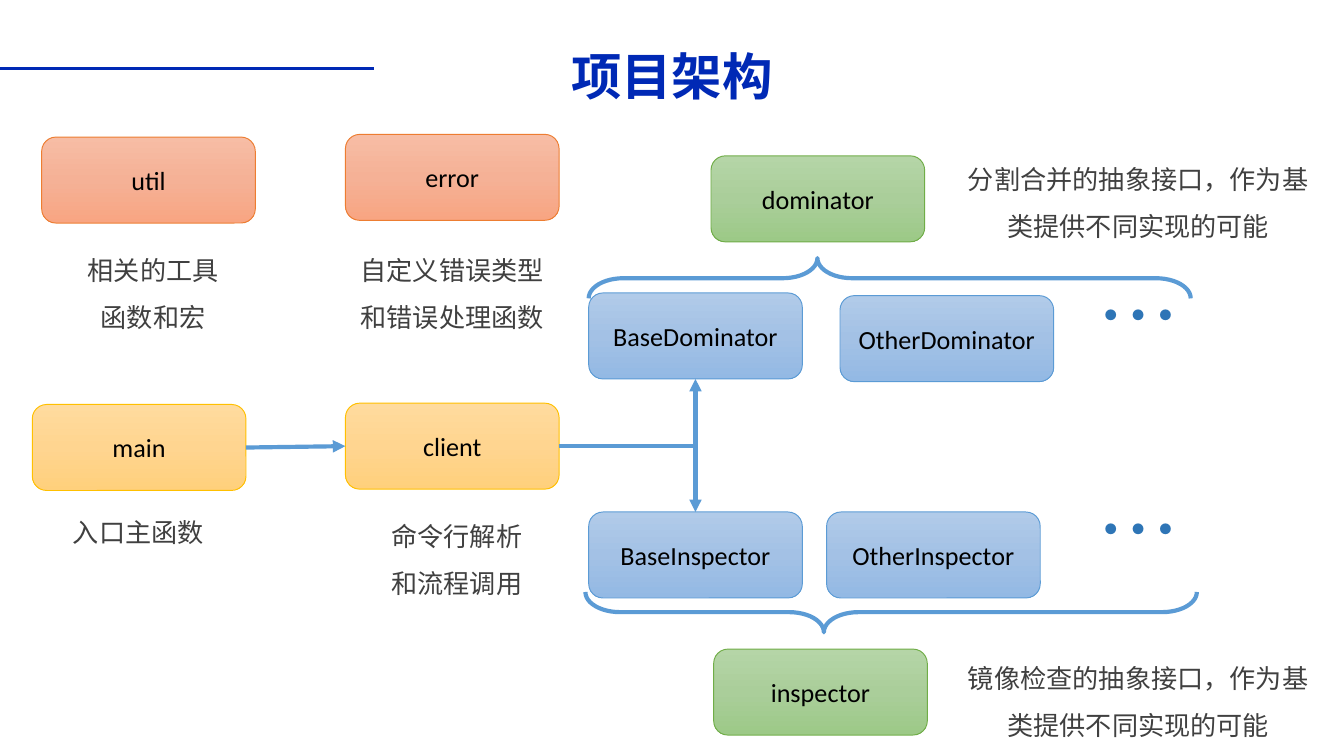
import copy
from dataclasses import dataclass

import pptx
import pptx.dml.color
import pptx.enum.dml
import pptx.enum.shapes
import pptx.enum.text
import pptx.oxml
import pptx.oxml.ns
import pptx.util

PX = 9144
BOX_WIDTH, BOX_HEIGHT = 159, 64
CJK_FONT = "Noto Sans CJK SC"
NAVY, BLUE, DOTS, GREY, BLACK = "0029B5", "5B9BD5", "2E75B6", "404040", "000000"
TOP, LEFT, BOTTOM, RIGHT = range(4)
SHAPE = pptx.enum.shapes.MSO_SHAPE
CONNECTOR = pptx.enum.shapes.MSO_CONNECTOR
ANCHOR = pptx.enum.text.MSO_ANCHOR
AUTO_SIZE = pptx.enum.text.MSO_AUTO_SIZE


@dataclass(frozen=True)
class Palette:
    stops: tuple[str, str, str]
    outline: str


@dataclass(frozen=True)
class Module:
    name: str
    left: int
    top: int
    palette: Palette


@dataclass(frozen=True)
class Label:
    text: str
    left: int
    top: int
    width: int
    height: int = 77
    size: int = 14
    color: str = GREY
    spacing: float = 1.5


@dataclass(frozen=True)
class Brace:
    left: int
    top: int
    height: int
    rotation: int
    tip: float


@dataclass(frozen=True)
class Link:
    source: str
    source_side: int
    target: str
    target_side: int
    bent: bool


YELLOW_BOX = Palette(("FFDB9E", "FFD590", "FFD07C"), "FFC000")
GREEN_BOX = Palette(("B5D5A7", "AACE9A", "9CC987"), "70AD47")
BLUE_BOX = Palette(("B1CBE9", "A3C1E5", "93B9E4"), BLUE)
ORANGE_BOX = Palette(("F7BDA5", "F5B196", "F8A582"), "ED7D31")

MODULES = (
    Module("main", 24, 301, YELLOW_BOX),
    Module("client", 257, 300, YELLOW_BOX),
    Module("dominator", 529, 116, GREEN_BOX),
    Module("inspector", 531, 483, GREEN_BOX),
    Module("BaseDominator", 438, 218, BLUE_BOX),
    Module("BaseInspector", 438, 381, BLUE_BOX),
    Module("OtherInspector", 615, 381, BLUE_BOX),
    Module("OtherDominator", 625, 220, BLUE_BOX),
    Module("util", 31, 102, ORANGE_BOX),
    Module("error", 257, 100, ORANGE_BOX),
)
LINKS = (
    Link("main", RIGHT, "client", LEFT, False),
    Link("client", RIGHT, "BaseDominator", BOTTOM, True),
    Link("client", RIGHT, "BaseInspector", TOP, True),
)
BRACES = (
    Brace(647, -17, 448, 270, 0.38),
    Brace(648, 228, 455, 90, 0.61),
)
LABELS = (
    Label("…", 807, 192, 74, 84, 44, DOTS, 1.0),
    Label("…", 807, 351, 74, 84, 44, DOTS, 1.0),
    Label("相关的工具函数和宏", 50, 173, 128),
    Label("自定义错误类型和错误处理函数", 249, 173, 175),
    Label("入口主函数", 39, 368, 128, 41),
    Label("命令行解析和流程调用", 276, 371, 128),
    Label("分割合并的抽象接口，作为基类提供不同实现的可能", 710, 105, 274),
    Label("镜像检查的抽象接口，作为基类提供不同实现的可能", 710, 476, 274),
)


def px(*lengths: int) -> list[int]:
    return [length * PX for length in lengths]


def rgb(color: str) -> pptx.dml.color.RGBColor:
    return pptx.dml.color.RGBColor.from_string(color)


def apply_format(target, values: dict) -> None:
    for name, value in values.items():
        setattr(target, name, value)


def write_text(frame, text: str, font: str, size: int, color: str,
               spacing: float = 1.0, bold: bool = False, **frame_format) -> None:
    apply_format(frame, {"word_wrap": True, **frame_format})
    para = frame.paragraphs[0]
    apply_format(para, {"alignment": pptx.enum.text.PP_ALIGN.CENTER, "line_spacing": spacing})
    span = para.add_run()
    span.text = text
    apply_format(span.font, {"name": font, "size": pptx.util.Pt(size), "bold": bold})
    span.font.color.rgb = rgb(color)
    east_asian = copy.deepcopy(span.font._element.find(pptx.oxml.ns.qn("a:latin")))
    east_asian.tag = pptx.oxml.ns.qn("a:ea")
    span.font._element.append(east_asian)


def format_line(line, color: str, width: float) -> None:
    line.color.rgb = rgb(color)
    line.width = pptx.util.Pt(width)


def fill_gradient(fill, colors: tuple[str, str, str]) -> None:
    fill.gradient()
    fill.gradient_angle = 270
    stop_list = fill._xPr.find(".//" + pptx.oxml.ns.qn("a:gsLst"))
    stop_list.insert(1, copy.deepcopy(stop_list[0]))
    for stop, color, position in zip(fill.gradient_stops, colors, (0, 0.5, 1)):
        stop.color.rgb = rgb(color)
        stop.position = position


def draw_module(page, module: Module):
    box = page.shapes.add_shape(SHAPE.ROUNDED_RECTANGLE,
                                *px(module.left, module.top, BOX_WIDTH, BOX_HEIGHT))
    box.shadow.inherit = False
    fill_gradient(box.fill, module.palette.stops)
    format_line(box.line, module.palette.outline, 0.5)
    write_text(box.text_frame, module.name, "Calibri", 14, BLACK,
               vertical_anchor=ANCHOR.MIDDLE)
    return box


def draw_connector(page, kind, ends: list[int], color: str, width: float):
    connector = page.shapes.add_connector(kind, *ends)
    format_line(connector.line, color, width)
    connector._element.spPr.append(pptx.oxml.parse_xml(
        f'<a:effectLst {pptx.oxml.ns.nsdecls("a")}/>'))
    return connector


def draw_link(page, link: Link, boxes: dict) -> None:
    kind = CONNECTOR.ELBOW if link.bent else CONNECTOR.STRAIGHT
    connector = draw_connector(page, kind, px(0, 0, 0, 0), BLUE, 2.25)
    connector.begin_connect(boxes[link.source], link.source_side)
    connector.end_connect(boxes[link.target], link.target_side)
    if link.bent:
        connector._element.spPr.find(pptx.oxml.ns.qn("a:prstGeom")).set("prst", "bentConnector2")
    connector.line._get_or_add_ln().append(pptx.oxml.parse_xml(
        f'<a:tailEnd {pptx.oxml.ns.nsdecls("a")} type="triangle"/>'))


def draw_brace(page, brace: Brace) -> None:
    shape = page.shapes.add_shape(SHAPE.RIGHT_BRACE, *px(brace.left, brace.top, 30, brace.height))
    shape.rotation = brace.rotation
    shape.adjustments[0] = 0.86
    shape.adjustments[1] = brace.tip
    shape.shadow.inherit = False
    shape.fill.background()
    format_line(shape.line, BLUE, 2.25)


def draw_label(page, label: Label) -> None:
    box = page.shapes.add_textbox(*px(label.left, label.top, label.width, label.height))
    write_text(box.text_frame, label.text, CJK_FONT, label.size, label.color, label.spacing,
               auto_size=AUTO_SIZE.SHAPE_TO_FIT_TEXT)


def main() -> None:
    deck = pptx.Presentation()
    deck.slide_width = 1000 * PX
    deck.slide_height = deck.slide_width * 9 // 16
    page = deck.slides.add_slide(deck.slide_layouts[5])
    title = page.shapes.title
    apply_format(title, dict(zip(("left", "top", "width", "height"), px(76, 16, 848, 68))))
    write_text(title.text_frame, "项目架构", CJK_FONT, 27, NAVY, 1.5, True,
               vertical_anchor=ANCHOR.BOTTOM, auto_size=AUTO_SIZE.NONE)
    draw_connector(page, CONNECTOR.STRAIGHT, px(0, 51, 278, 51), NAVY, 1.75)
    boxes = {module.name: draw_module(page, module) for module in MODULES}
    for link in LINKS:
        draw_link(page, link, boxes)
    for brace in BRACES:
        draw_brace(page, brace)
    for label in LABELS:
        draw_label(page, label)
    deck.save("out.pptx")


if __name__ == "__main__":
    main()
